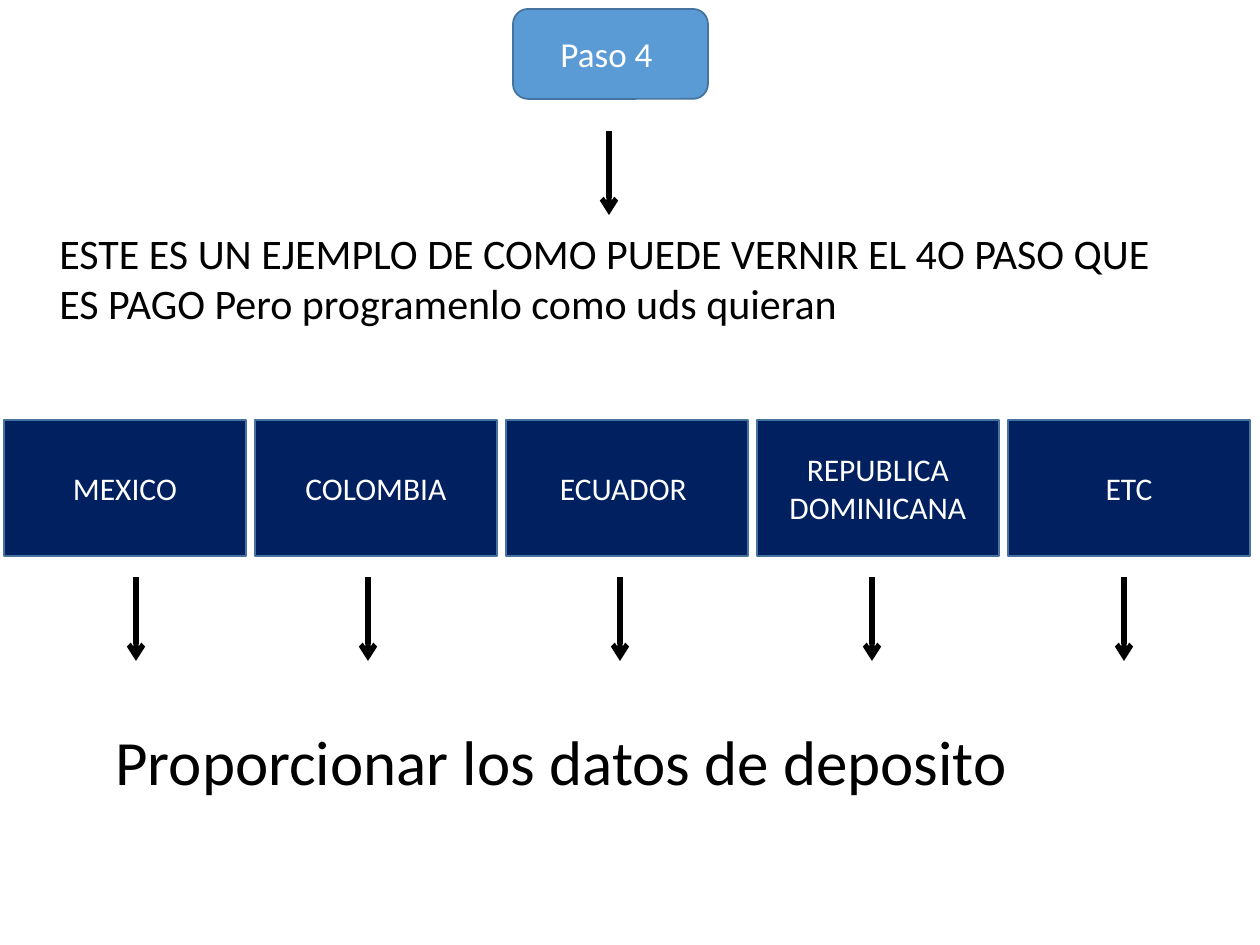
from dataclasses import dataclass

from lxml.etree import SubElement
from pptx import Presentation
from pptx.dml.color import RGBColor
from pptx.enum.shapes import MSO_CONNECTOR, MSO_SHAPE
from pptx.enum.text import MSO_ANCHOR, PP_ALIGN
from pptx.oxml.ns import qn
from pptx.util import Emu, Pt


@dataclass(frozen=True)
class Theme:
    font: str = "Calibri"
    navy: RGBColor = RGBColor(0x00, 0x20, 0x60)
    blue: RGBColor = RGBColor(0x5B, 0x9B, 0xD5)
    outline: RGBColor = RGBColor(0x43, 0x73, 0x9E)
    white: RGBColor = RGBColor(0xFF, 0xFF, 0xFF)
    black: RGBColor = RGBColor(0x00, 0x00, 0x00)
    country_size: int = 18
    step_size: int = 20
    note_size: int = 24
    closing_size: int = 36


theme = Theme()
SCALE = 914400 / 126


def px(*lengths):
    return [Emu(round(length * SCALE)) for length in lengths]


def write(box, lines, size, color, align):
    frame = box.text_frame
    for index, line in enumerate(lines):
        para = frame.paragraphs[0] if index == 0 else frame.add_paragraph()
        para.alignment = align
        span = para.add_run()
        span.text = line
        for name, value in {"name": theme.font, "size": Pt(size)}.items():
            setattr(span.font, name, value)
        span.font.color.rgb = color


deck = Presentation()
deck.slide_width, deck.slide_height = px(1260, 945)
page = deck.slides.add_slide(deck.slide_layouts[6])

countries = [["MEXICO"], ["COLOMBIA"], ["ECUADOR "], ["REPUBLICA", "DOMINICANA"], ["ETC"]]
boxes = [
    (MSO_SHAPE.RECTANGLE, (4 + 251 * column, 420, 242, 136), theme.navy, lines, theme.country_size)
    for column, lines in enumerate(countries)
]
boxes.append((MSO_SHAPE.ROUNDED_RECTANGLE, (513, 9, 195, 90), theme.blue, ["Paso 4 "], theme.step_size))

for kind, place, fill, lines, size in boxes:
    box = page.shapes.add_shape(kind, *px(*place))
    box.shadow.inherit = False
    box.fill.solid()
    box.fill.fore_color.rgb = fill
    box.line.color.rgb = theme.outline
    box.line.width = Pt(1)
    box.text_frame.word_wrap = True
    box.text_frame.vertical_anchor = MSO_ANCHOR.MIDDLE
    write(box, lines, size, theme.white, PP_ALIGN.CENTER)

texts = [
    (
        (47, 221, 1150, 115),
        "ESTE ES UN EJEMPLO DE COMO PUEDE VERNIR EL 4O PASO QUE ES PAGO Pero programenlo como uds quieran",
        theme.note_size,
        True,
    ),
    ((103, 716, 940, 89), "Proporcionar los datos de deposito", theme.closing_size, False),
]
for place, text, size, wrap in texts:
    box = page.shapes.add_textbox(*px(*place))
    box.text_frame.word_wrap = wrap
    write(box, [text], size, theme.black, PP_ALIGN.LEFT)

arrows = [(609, 131)] + [(x, 577) for x in (136, 368, 620, 872, 1124)]
for x, top in arrows:
    arrow = page.shapes.add_connector(MSO_CONNECTOR.STRAIGHT, *px(x, top, x, top + 84))
    arrow.line.color.rgb = theme.black
    arrow.line.width = Pt(3)
    SubElement(arrow.line._get_or_add_ln(), qn("a:tailEnd"), type="arrow")
    SubElement(arrow._element.spPr, qn("a:effectLst"))

deck.save("out.pptx")
